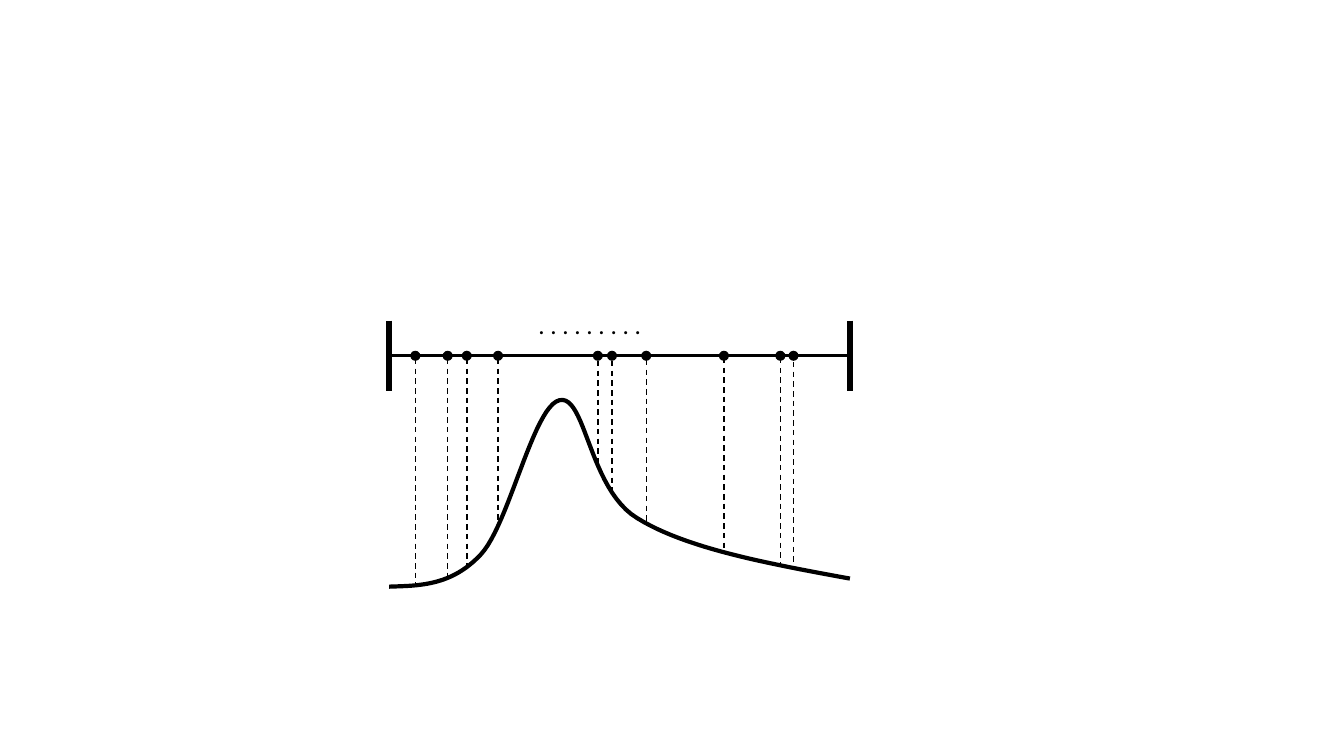
from lxml import etree
from pptx import Presentation
from pptx.dml.color import RGBColor
from pptx.enum.dml import MSO_LINE
from pptx.enum.shapes import MSO_CONNECTOR, MSO_SHAPE
from pptx.enum.text import MSO_AUTO_SIZE
from pptx.oxml.ns import qn
from pptx.util import Inches, Pt

STRAIGHT = MSO_CONNECTOR.STRAIGHT
OVAL = MSO_SHAPE.OVAL
DASH = MSO_LINE.DASH
FIT_SHAPE = MSO_AUTO_SIZE.SHAPE_TO_FIT_TEXT
BLACK = "000000"
DOT_SIZE = 0.1
CURVE_STEPS = 24

# Offsets from the left and top of the diagram, in inches
AXIS_Y = 0.51
CAP_HALF = 0.35
CURVE_START = (0, 2.8)
CURVE_SEGMENTS = [
    ((0.31, 2.79), (0.62, 2.79), (0.91, 2.48)),
    ((1.19, 2.18), (1.43, 1.01), (1.69, 0.95)),
    ((1.95, 0.89), (1.98, 1.83), (2.46, 2.12)),
    ((2.94, 2.42), (3.75, 2.57), (4.57, 2.72)),
]
# Sample position, top and bottom of its dashed drop line
SAMPLES = [
    (0.26, 0.54, 2.79), (0.58, 0.54, 2.71), (0.77, 0.54, 2.6),
    (1.08, 0.54, 2.17), (2.07, 0.56, 1.59), (2.21, 0.56, 1.87),
    (2.55, 0.55, 2.17), (3.32, 0.53, 2.45), (3.88, 0.53, 2.6),
    (4.01, 0.57, 2.6),
]


def color(hex_string):
    return RGBColor.from_string(hex_string)


def add_line(shapes, x1, y1, x2, y2, width, dash=None):
    line = shapes.add_connector(STRAIGHT, Inches(x1), Inches(y1), Inches(x2), Inches(y2))
    line.line.color.rgb = color(BLACK)
    line.line.width = Pt(width)
    if dash is not None:
        line.line.dash_style = dash
    etree.SubElement(line._element.spPr, qn("a:effectLst"))


def bezier_points(start, segments):
    """Return evenly stepped points along joined cubic curves."""
    points = [start]
    for c1, c2, end in segments:
        for i in range(1, CURVE_STEPS + 1):
            t = i / CURVE_STEPS
            u = 1 - t
            points.append(tuple(
                u**3 * a + 3 * u * u * t * b + 3 * u * t * t * c + t**3 * d
                for a, b, c, d in zip(start, c1, c2, end)))
        start = end
    return points


def add_curve(shapes, left, top):
    points = [(Inches(left + x), Inches(top + y))
              for x, y in bezier_points(CURVE_START, CURVE_SEGMENTS)]
    builder = shapes.build_freeform(*points[0])
    builder.add_line_segments(points[1:], close=False)
    sp = builder.convert_to_shape()
    sp.shadow.inherit = False
    sp.fill.background()
    sp.line.color.rgb = color(BLACK)
    sp.line.width = Pt(3)


def add_axis(shapes, left, top, width):
    y = top + AXIS_Y
    for x in (left, left + width):
        add_line(shapes, x, y - CAP_HALF, x, y + CAP_HALF, 4)
    add_line(shapes, left, y, left + width, y, 2)


def add_samples(shapes, left, top):
    for x, drop_top, drop_bottom in SAMPLES:
        dot = shapes.add_shape(OVAL, Inches(left + x - DOT_SIZE / 2),
                               Inches(top + AXIS_Y - DOT_SIZE / 2),
                               Inches(DOT_SIZE), Inches(DOT_SIZE))
        dot.shadow.inherit = False
        dot.fill.solid()
        dot.fill.fore_color.rgb = color(BLACK)
        dot.line.fill.background()
        add_line(shapes, left + x, top + drop_top, left + x, top + drop_bottom, 1, DASH)


def add_ellipsis(shapes, left, top):
    box = shapes.add_textbox(Inches(left), Inches(top), Inches(1.29), Inches(0.4))
    tf = box.text_frame
    tf.word_wrap = False
    tf.auto_size = FIT_SHAPE
    tf.text = ". . . . . . . . ."
    font = tf.paragraphs[0].runs[0].font
    font.name = "Calibri"
    font.size = Pt(18)
    font.color.rgb = color(BLACK)


def add_sampling_diagram(s, left, top, width):
    shapes = s.shapes.add_group_shape().shapes
    add_curve(shapes, left, top)
    add_axis(shapes, left, top, width)
    add_samples(shapes, left, top)
    add_ellipsis(shapes, left + 1.38, top)


def main():
    prs = Presentation()
    prs.slide_width = Inches(13.33)
    prs.slide_height = Inches(7.5)
    s = prs.slides.add_slide(prs.slide_layouts[6])
    add_sampling_diagram(s, 3.86, 3.02, 4.57)
    prs.save("out.pptx")


if __name__ == "__main__":
    main()
